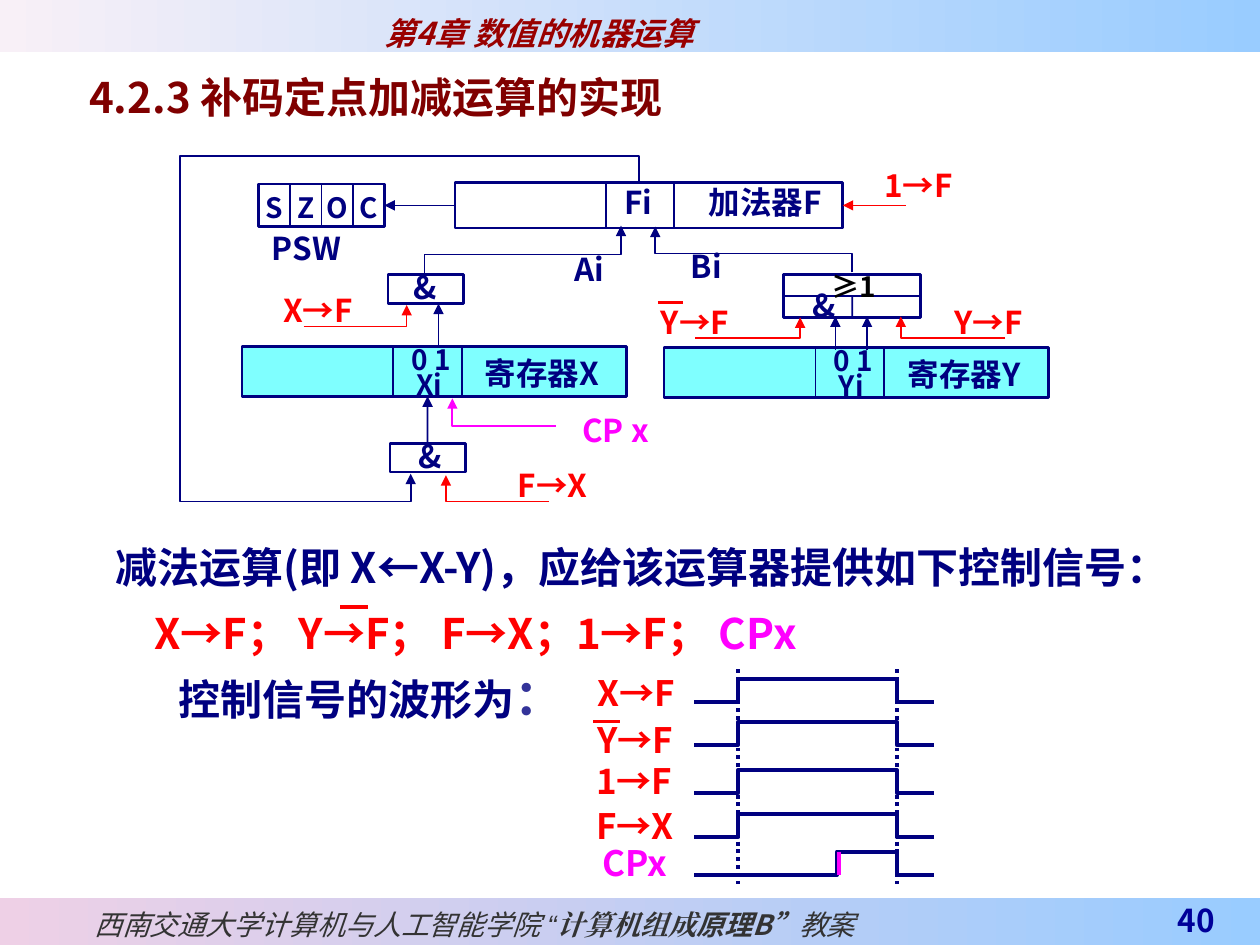
from dataclasses import dataclass

from lxml.etree import SubElement
from pptx import Presentation
from pptx.dml.color import RGBColor
from pptx.enum.dml import MSO_LINE
from pptx.enum.shapes import MSO_CONNECTOR, MSO_SHAPE
from pptx.enum.text import MSO_ANCHOR as Anchor, PP_ALIGN as Align
from pptx.oxml.ns import qn
from pptx.util import Cm, Pt


@dataclass(frozen=True)
class Theme:
    font: str = "Noto Sans CJK SC"
    navy: str = "000080"
    red: str = "FF0000"
    magenta: str = "FF00FF"
    black: str = "000000"
    white: str = "FFFFFF"
    cyan: str = "00FFFF"
    chapter: str = "990000"
    title: str = "800000"
    footer: str = "333333"
    number: str = "000099"
    colon: str = "333399"
    sky: str = "99CCFF"
    header_start: str = "F8F0F7"
    footer_start: str = "EED0E6"
    heading: int = 24
    large: int = 28
    signal: int = 20
    label: int = 18
    small: int = 16
    thick: float = 2.25
    medium: float = 1.5
    thin: float = 1
    hair: float = 0.75


T = Theme()
TOP, LEFT, BOTTOM, RIGHT = 0, 1, 2, 3

# Text run: (text, size, colour[, font[, bold]])
CHAPTER = [("第4章 数值的机器运算", T.label, T.chapter)]
FOOTER = [
    ("西南交通大学计算机与人工智能学院 ", T.small, T.footer, T.font, False),
    ("“", T.small, T.footer, "Arial", False),
    ("计算机组成", T.small, T.footer, "Times New Roman"),
    ("原理B”", T.small, T.footer),
    ("教案", T.small, T.footer, T.font, False),
]
TITLE = [("4.2.3 补码定点加减运算的实现", T.heading, T.title)]
SUBTRACTION = [("减法运算(即 X←X-Y)，应给该运算器提供如下控制信号：", T.heading, T.navy)]
SIGNALS = [("X→F； Y→F； F→X；1→F； ", T.heading, T.red), ("CPx", T.heading, T.magenta)]
WAVE_CAPTION = [("控制信号的波形为", T.heading, T.navy), ("：", T.large, T.colon)]

# Circuit labels: text, left, top, width, size, colour
LABELS = [
    ("&", 7.65, 5.41, 1.85, T.label, T.navy),
    ("&", 7.75, 8.81, 1.85, T.label, T.navy),
    ("≥1", 16.13, 5.44, 2.16, T.small, T.black),
    ("&", 15.49, 5.77, 2.26, T.label, T.navy),
    ("加法器F", 13.36, 3.68, 4.14, T.label, T.navy),
    ("Fi", 11.84, 3.68, 2.06, T.label, T.navy),
    ("PSW", 5.11, 4.62, 2.13, T.label, T.navy),
    ("1→F", 16.76, 3.35, 3.51, T.label, T.red),
    ("Y→F", 18.47, 6.1, 2.92, T.label, T.red),
    ("Y→F", 12.55, 6.1, 2.92, T.label, T.red),
    ("X→F", 4.95, 5.87, 2.92, T.label, T.red),
    ("F→X", 9.68, 9.4, 2.92, T.label, T.red),
    ("CP x", 10.95, 8.28, 2.92, T.label, T.magenta),
    ("Ai", 10.92, 5.05, 1.91, T.label, T.navy),
    ("Bi", 13.28, 4.98, 1.91, T.label, T.navy),
]

REGISTERS = {"X": (4.88, 6.99), "Y": (13.39, 7.01)}
PSW_FLAGS = "SZOC"

# Bent wires, each with its arrowhead at the last point
WIRES = [
    ([(8.56, 5.54), (8.56, 5.13), (12.52, 5.13), (12.52, 4.55)], T.navy, T.thin),
    ([(17.17, 5.49), (17.17, 5.11), (13.21, 5.11), (13.21, 4.57)], T.navy, T.thin),
    ([(12.88, 3.68), (12.88, 3.15), (3.63, 3.15), (3.63, 10.11), (8.28, 10.11),
      (8.28, 9.55)], T.navy, T.thin),
    ([(20.27, 6.81), (18.16, 6.81), (18.16, 6.38)], T.red, T.thin),
    ([(11.07, 10.11), (8.99, 10.11), (8.99, 9.58)], T.red, T.thin),
    ([(11.2, 8.59), (9.12, 8.59), (9.12, 8.03)], T.magenta, T.thin),
    ([(14.02, 6.81), (16.13, 6.81), (16.13, 6.4)], T.red, T.thin),
    ([(6.12, 6.58), (8.2, 6.58), (8.2, 6.15)], T.red, T.hair),
]
UPWARD_ARROWS = [(8.84, 7.01, 6.12), (17.48, 7.06, 6.38), (16.84, 7.06, 6.38)]
OVERBARS = [(6.86, 7.42, 12.24, T.thick), (11.96, 12.5, 14.55, T.medium),
            (13.26, 13.77, 6.1, T.medium)]

# Waveforms: name, label left, label top, pulse top, rising edge, colour
WAVE_START, WAVE_RISE, WAVE_FALL, WAVE_END, WAVE_HEIGHT = 14, 14.88, 18.08, 18.82, 0.47
CLOCK_RISE, CLOCK_TOP = 16.87, 17.17
WAVES = [
    ("X→F", 12.04, 13.54, 13.69, WAVE_RISE, T.red),
    ("Y→F", 12.04, 14.48, 14.55, WAVE_RISE, T.red),
    ("1→F", 12.02, 15.32, 15.52, WAVE_RISE, T.red),
    ("F→X", 12.02, 16.21, 16.41, WAVE_RISE, T.red),
    ("CPx", 12.14, 16.97, CLOCK_TOP, CLOCK_RISE, T.magenta),
]

presentation = Presentation()
presentation.slide_width, presentation.slide_height = Cm(25.4), Cm(19.05)
slide = presentation.slides.add_slide(presentation.slide_layouts[6])
shapes = slide.shapes


def write(shape, paragraphs, align=Align.LEFT, anchor=Anchor.TOP, insets=(0, 0, 0, 0),
          spacing=None, italic=False):
    """Fill a shape with paragraphs of runs; insets are left, top, right, bottom."""
    frame = shape.text_frame
    frame.word_wrap, frame.vertical_anchor = True, anchor
    frame.margin_left, frame.margin_top, frame.margin_right, frame.margin_bottom = map(Cm, insets)
    for index, runs in enumerate(paragraphs):
        paragraph = frame.add_paragraph() if index else frame.paragraphs[0]
        paragraph.alignment, paragraph.line_spacing = align, spacing
        for text, size, colour, *style in runs:
            name, bold = (style + [T.font, True][len(style):])
            run = paragraph.add_run()
            run.text = text
            font = run.font
            font.name, font.size, font.bold, font.italic = name, Pt(size), bold, italic
            font.color.rgb = RGBColor.from_string(colour)
            SubElement(font._element, qn("a:ea"), typeface=name)


def add_text(left, top, width, height, paragraphs, **options):
    box = shapes.add_textbox(Cm(left), Cm(top), Cm(width), Cm(height))
    write(box, paragraphs, **options)
    return box


def add_label(text, left, top, width, size, colour, align=Align.CENTER):
    add_text(left, top, width, 0.8, [[(text, size, colour)]], align=align)


def style_line(shape, colour, width, arrow=False):
    shape.line.color.rgb = RGBColor.from_string(colour)
    shape.line.width = Pt(width)
    if arrow:
        SubElement(shape.line._get_or_add_ln(), qn("a:tailEnd"), type="triangle")


def add_box(left, top, width, height, line_width=T.medium, fill=None, alpha=None):
    box = shapes.add_shape(MSO_SHAPE.RECTANGLE, Cm(left), Cm(top), Cm(width), Cm(height))
    box.shadow.inherit = False
    if fill:
        box.fill.solid()
        box.fill.fore_color.rgb = RGBColor.from_string(fill)
    else:
        box.fill.background()
    if alpha:
        colour = box._element.spPr.find(f"{qn('a:solidFill')}/{qn('a:srgbClr')}")
        SubElement(colour, qn("a:alpha"), val=str(alpha * 1000))
    style_line(box, T.navy, line_width)
    return box


def add_band(top, height, start_colour, runs, **options):
    band = add_box(0, top, 25.4, height)
    band.line.fill.background()
    band.fill.gradient()
    band.fill.gradient_angle = 0
    for stop, position, colour in zip(band.fill.gradient_stops, (0, 1), (start_colour, T.sky)):
        stop.position, stop.color.rgb = position, RGBColor.from_string(colour)
    write(band, [runs], spacing=1.2, italic=True, **options)


def add_line(start, end, colour=T.navy, width=T.thin, arrow=False, begin=None, finish=None):
    """Draw a straight line; begin and finish are (shape, side) joints."""
    line = shapes.add_connector(MSO_CONNECTOR.STRAIGHT, *map(Cm, start + end))
    if begin:
        line.begin_connect(*begin)
    if finish:
        line.end_connect(*finish)
    SubElement(line._element.spPr, qn("a:effectLst"))
    style_line(line, colour, width, arrow)
    return line


def add_path(points, colour, width, arrow=False):
    first, *rest = [(Cm(x), Cm(y)) for x, y in points]
    builder = shapes.build_freeform(*first)
    builder.add_line_segments(rest, close=False)
    path = builder.convert_to_shape()
    path.shadow.inherit = False
    path.fill.background()
    style_line(path, colour, width, arrow)


def add_register(name, left, top):
    add_box(left, top, 7.75, 1, fill=T.cyan, alpha=50)
    cell = add_box(left + 3.05, top, 1.38, 1, T.thin)
    add_label(f"寄存器{name}", left + 4.09, top + 0.15, 3.91, T.label, T.navy)
    add_label(f"{name}i", left + 2.74, top + 0.42, 2.06, T.small, T.navy)
    add_label("0 1", left + 2.78, top - 0.08, 2.06, T.small, T.navy)
    return cell


add_band(0, 1.05, T.header_start, CHAPTER, insets=(7.75, 0.13, 0.25, 0.13))
add_band(18.1, 0.95, T.footer_start, FOOTER, anchor=Anchor.MIDDLE, insets=(1.9, 0.13, 0.25, 0.13))
add_text(22, 18.1, 2.74, 0.95, [[("40", T.label, T.number)]], align=Align.RIGHT,
         anchor=Anchor.BOTTOM, insets=(0.25, 0, 0.25, 0.13), spacing=1.2)

body = {"insets": (0.25, 0.13, 0.25, 0)}
add_text(1.55, 1.32, 23.85, 1.14, [TITLE], **body)
subtraction = add_text(2.08, 10.49, 23.32, 2.79, [SUBTRACTION, SIGNALS],
                       align=Align.JUSTIFY, spacing=1.3, **body)
subtraction.text_frame.paragraphs[1]._p.get_or_add_pPr().set("marL", str(Cm(0.78)))
add_text(3.35, 13.31, 22.05, 1.32, [WAVE_CAPTION], **body)

for x in (WAVE_RISE, WAVE_FALL):
    add_line((x, 13.49), (x, 17.83), width=T.thick).line.dash_style = MSO_LINE.ROUND_DOT
for name, label_left, label_top, high, rise, colour in WAVES:
    low = high + WAVE_HEIGHT
    add_path([(WAVE_START, low), (rise, low), (rise, high), (WAVE_FALL, high),
              (WAVE_FALL, low), (WAVE_END, low)], T.navy, T.thick)
    add_label(name, label_left, label_top, 1.73, T.signal, colour, Align.JUSTIFY)
clock_edge = CLOCK_RISE + 0.05
add_line((clock_edge, CLOCK_TOP), (clock_edge, CLOCK_TOP + WAVE_HEIGHT), T.magenta, T.thick)

add_box(7.82, 5.54, 1.52, 0.58, fill=T.white)
write_gate = add_box(7.86, 8.94, 1.52, 0.58, fill=T.white)
or_gate = add_box(15.8, 5.54, 2.76, 0.86, fill=T.white)
adder = add_box(9.17, 3.68, 7.82, 0.92)
add_box(12.22, 3.68, 1.37, 0.92, T.thin)
for index, flag in enumerate(PSW_FLAGS):
    cell = add_box(5.21 + index * 0.635, 3.71, 0.635, 0.86, T.hair)
    write(cell, [[(flag, T.small, T.navy)]], align=Align.CENTER, insets=(0, 0.13, 0, 0.13))
psw = add_box(5.21, 3.71, 2.54, 0.86)
cells = {name: add_register(name, *corner) for name, corner in REGISTERS.items()}

add_line((15.8, 5.97), (18.56, 5.97), begin=(or_gate, LEFT), finish=(or_gate, RIGHT))
add_line((17.18, 5.97), (17.18, 6.4), finish=(or_gate, BOTTOM))
for label in LABELS:
    add_label(*label)
for points, colour, width in WIRES:
    add_path(points, colour, width, arrow=True)
for x, start, end in UPWARD_ARROWS:
    add_line((x, start), (x, end), arrow=True)
add_line((9.17, 4.14), (7.75, 4.14), arrow=True, begin=(adder, LEFT), finish=(psw, RIGHT))
add_line((8.62, 8.94), (8.62, 7.99), arrow=True, begin=(write_gate, TOP),
         finish=(cells["X"], BOTTOM))
add_line((18.26, 4.14), (16.99, 4.14), T.red, arrow=True, finish=(adder, RIGHT))
for left, right, y, width in OVERBARS:
    add_line((left, y), (right, y), T.red, width)

presentation.save("out.pptx")
